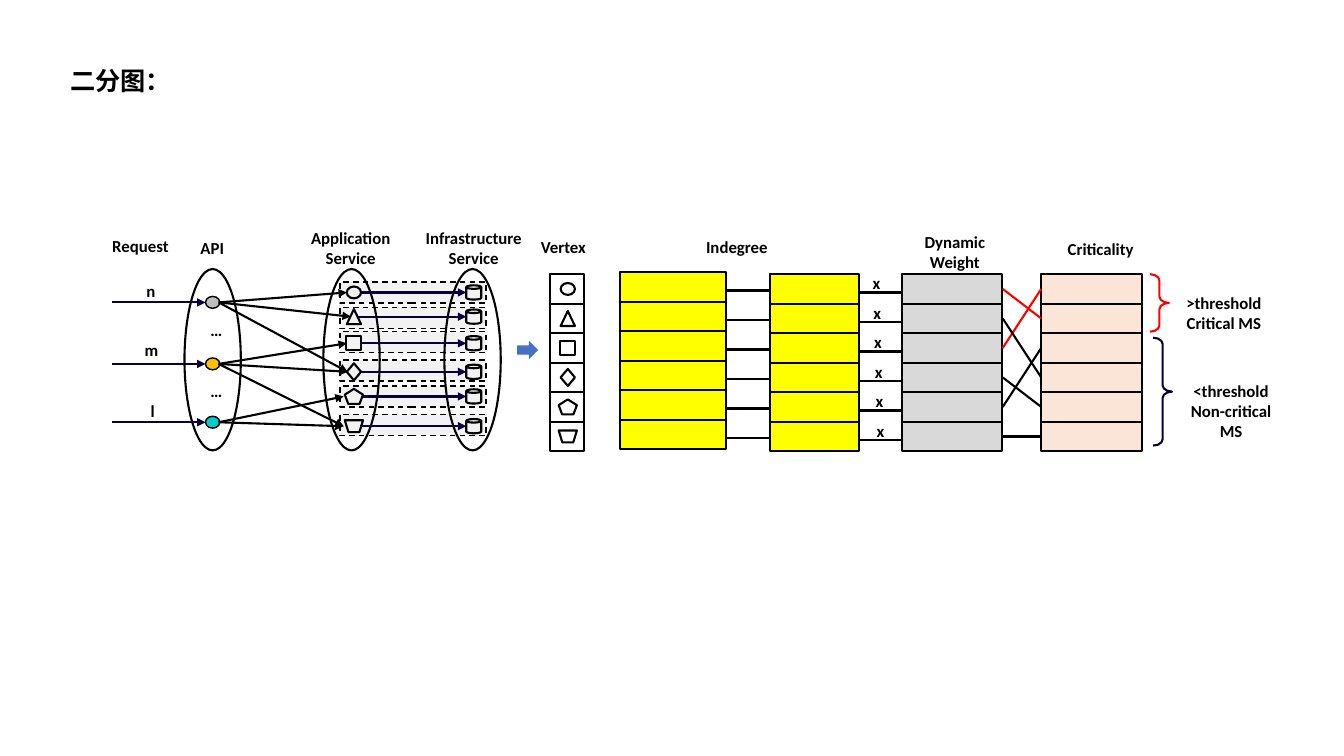
"""Build the slide showing requests, services and vertex criticality as a bipartite graph."""
from lxml.etree import SubElement
from pptx import Presentation
from pptx.dml.color import RGBColor
from pptx.enum.dml import MSO_LINE
from pptx.enum.shapes import MSO_CONNECTOR, MSO_SHAPE as Shape
from pptx.enum.text import MSO_AUTO_SIZE, PP_ALIGN as Align
from pptx.oxml.ns import qn
from pptx.util import Cm, Pt

hex_color = RGBColor.from_string
BLACK, NAVY, RED, YELLOW = "000000", "08003B", "FF0000", "FFFF00"

presentation = Presentation()
presentation.slide_width, presentation.slide_height = Cm(33.87), Cm(19.05)
slide = presentation.slides.add_slide(presentation.slide_layouts[6])


def add_shape(kind, left, top, width, height, fill=None, line=BLACK, weight=1.5):
    """Add a preset shape; fill or line may be None."""
    shape = slide.shapes.add_shape(kind, Cm(left), Cm(top), Cm(width), Cm(height))
    shape.shadow.inherit = False
    if fill:
        shape.fill.solid()
        shape.fill.fore_color.rgb = hex_color(fill)
    else:
        shape.fill.background()
    if line:
        shape.line.color.rgb = hex_color(line)
        shape.line.width = Pt(weight)
    else:
        shape.line.fill.background()
    return shape


def add_line(x1, y1, x2, y2, color=BLACK, arrow=False):
    """Add a straight line, with an arrowhead at its end if asked."""
    connector = slide.shapes.add_connector(
        MSO_CONNECTOR.STRAIGHT, Cm(x1), Cm(y1), Cm(x2), Cm(y2))
    connector.line.color.rgb = hex_color(color)
    connector.line.width = Pt(1.5)
    if arrow:
        SubElement(connector.line._get_or_add_ln(), qn("a:tailEnd"), type="triangle")
    SubElement(connector._element.spPr, qn("a:effectLst"))


row_count = 6
column_top = 6.91
row_height = 4.46 / row_count

# Each service: glyph, width, height, centre y, band top, left and right arrow contact
services = [
    (Shape.OVAL, 0.36, 0.3, 7.37, 7.11, 8.74, 9.09),
    (Shape.ISOSCELES_TRIANGLE, 0.36, 0.38, 7.98, 7.75, 8.84, 9.02),
    (Shape.RECTANGLE, 0.38, 0.36, 8.65, 8.36, 8.74, 9.12),
    (Shape.DIAMOND, 0.36, 0.43, 9.37, 9.07, 8.76, 9.12),
    (Shape.REGULAR_PENTAGON, 0.46, 0.38, 9.99, 9.73, 8.66, 9.12),
    (Shape.FLOWCHART_MANUAL_OPERATION, 0.46, 0.3, 10.74, 10.44, 8.66, 9.07),
]
for glyph, width, height, center, band_top, *contacts in services:
    band = add_shape(Shape.RECTANGLE, 8.57, band_top, 3.68, 0.53, "F2F2F2", weight=1)
    band.line.dash_style = MSO_LINE.DASH

for group_center in (5.36, 8.86, 11.91):
    add_shape(Shape.OVAL, group_center - 0.71, 6.78, 1.42, 4.57)

apis = [
    (7.62, "BFBFBF", (0, 1, 3)),
    (9.17, "FFC000", (2, 3, 5)),
    (10.64, "00CECC", (4, 5)),
]
for api_y, color, targets in apis:
    add_shape(Shape.OVAL, 5.18, api_y - 0.15, 0.36, 0.3, color, weight=1)
    add_line(2.82, api_y, 5.18, api_y, NAVY, arrow=True)
    for target in targets:
        center, band_top, contact = services[target][3:6]
        add_line(5.51, api_y, contact, center, arrow=True)

columns = [
    (13.87, column_top, 0.85, None),
    (15.62, 6.86, 2.68, YELLOW),
    (19.41, column_top, 2.23, YELLOW),
    (22.74, column_top, 2.52, "D9D9D9"),
    (26.24, column_top, 2.54, "FBE5D6"),
]
for left, top, width, fill in columns:
    for row in range(row_count):
        add_shape(Shape.RECTANGLE, left, top + row * row_height, width, row_height, fill)

for row, (glyph, width, height, center, band_top, left, right) in enumerate(services):
    vertex_center = column_top + (row + 0.5) * row_height
    for center_x, center_y in ((8.92, center), (14.31, vertex_center)):
        add_shape(glyph, center_x - width / 2, center_y - height / 2, width, height)
    add_shape(Shape.CAN, 11.75, center - 0.18, 0.38, 0.36)
    add_line(right, center, 11.75, center, NAVY, arrow=True)
    offset = row * row_height
    add_line(18.29, 7.32 + offset, 19.38, 7.32 + offset)
    add_line(21.64, 7.37 + offset, 22.74, 7.37 + offset)

rankings = [(2, 0, RED), (0, 1, RED), (4, 2, BLACK), (1, 3, BLACK), (3, 4, BLACK), (5, 5, BLACK)]
for weight_row, rank, color in rankings:
    add_line(25.27, column_top + (weight_row + 0.5) * row_height,
             26.24, column_top + (rank + 0.5) * row_height, color)

add_shape(Shape.RIGHT_ARROW, 13.03, 8.59, 0.53, 0.46, "4472C4", None)
for left, top, height, color in ((28.98, 6.91, 1.45, RED), (29.06, 8.51, 2.72, NAVY)):
    brace = add_shape(Shape.RIGHT_BRACE, left, top, 0.48, height, line=color)
    brace.adjustments[0] = 0.33

labels = [
    ("Request", 2.41, 5.82, 2.26, 0.77),
    ("API", 4.32, 5.87, 2.06, 0.77),
    ("Application Service", 7.14, 5.61, 3.4, 1.28),
    ("Infrastructure\nService", 10.24, 5.61, 3.4, 1.28),
    ("Vertex", 12.93, 5.84, 2.54, 0.77),
    ("Indegree", 17.3, 5.84, 2.54, 0.77),
    ("Dynamic Weight", 22.53, 5.72, 3.07, 1.28),
    ("Criticality", 26.47, 5.89, 2.54, 0.77),
    (">threshold\nCritical MS", 29.46, 7.24, 2.77, 1.28),
    ("<threshold\nNon-critical MS", 29.64, 9.47, 2.77, 1.8),
    ("n", 2.67, 6.96, 2.26, 0.77),
    ("m", 2.69, 8.43, 2.26, 0.77),
    ("l", 2.72, 9.98, 2.26, 0.77),
    ("…", 5.05, 7.92, 0.58, 0.77),
    ("…", 5.05, 9.47, 0.58, 0.77),
]
texts = [(*label, 12, "Calibri", Align.CENTER) for label in labels]
texts += [("x", 21.74 + 0.02 * row, 6.76 + row * row_height, 0.86, 0.77, 12, "Calibri", Align.LEFT)
          for row in range(row_count)]
texts.append(("二分图：", 1.52, 1.52, 17.04, 1.02, 18, "Noto Sans CJK SC", Align.LEFT))

for text, left, top, width, height, size, font_name, alignment in texts:
    text_box = slide.shapes.add_textbox(Cm(left), Cm(top), Cm(width), Cm(height))
    text_frame = text_box.text_frame
    text_frame.word_wrap = True
    text_frame.auto_size = MSO_AUTO_SIZE.SHAPE_TO_FIT_TEXT
    text_frame.text = text
    for paragraph in text_frame.paragraphs:
        paragraph.alignment = alignment
        font = paragraph.font
        font.size, font.bold, font.name = Pt(size), True, font_name
        font.color.rgb = hex_color(BLACK)
        SubElement(font._element, qn("a:ea"), typeface=font_name)

presentation.save("out.pptx")
